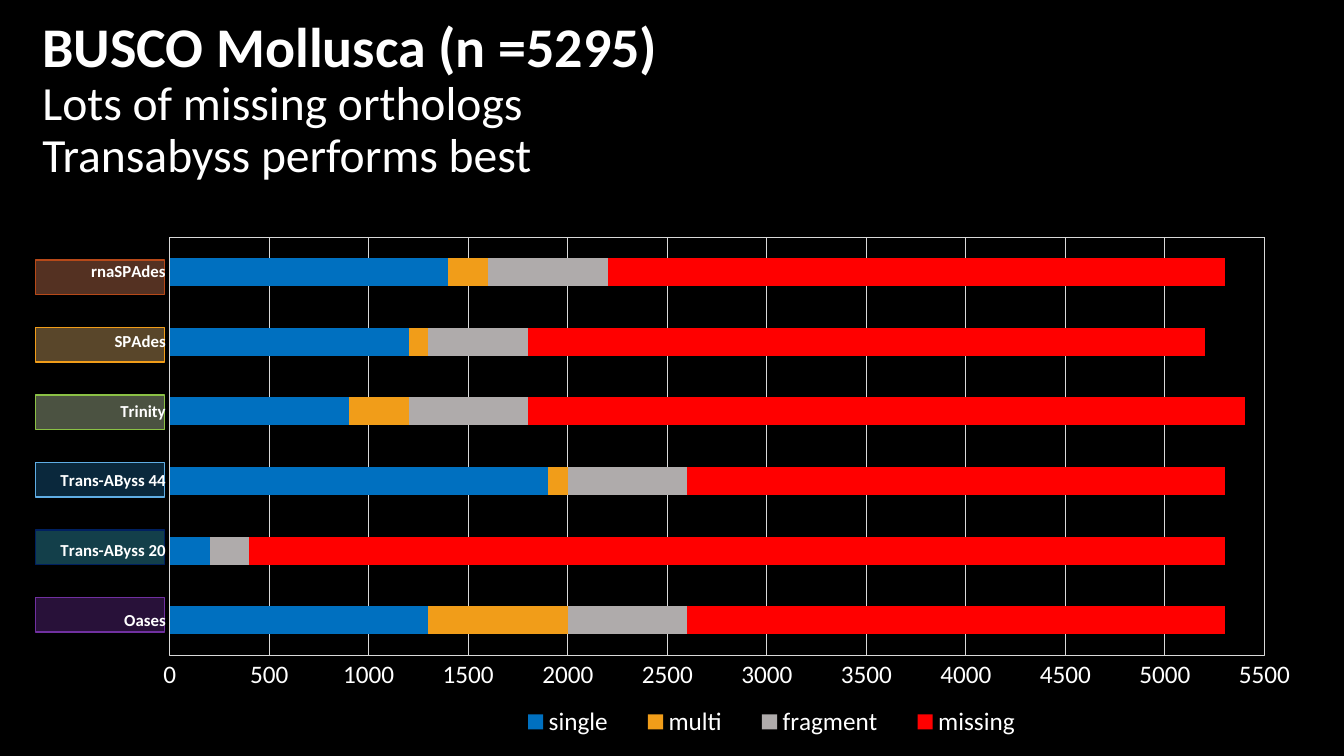
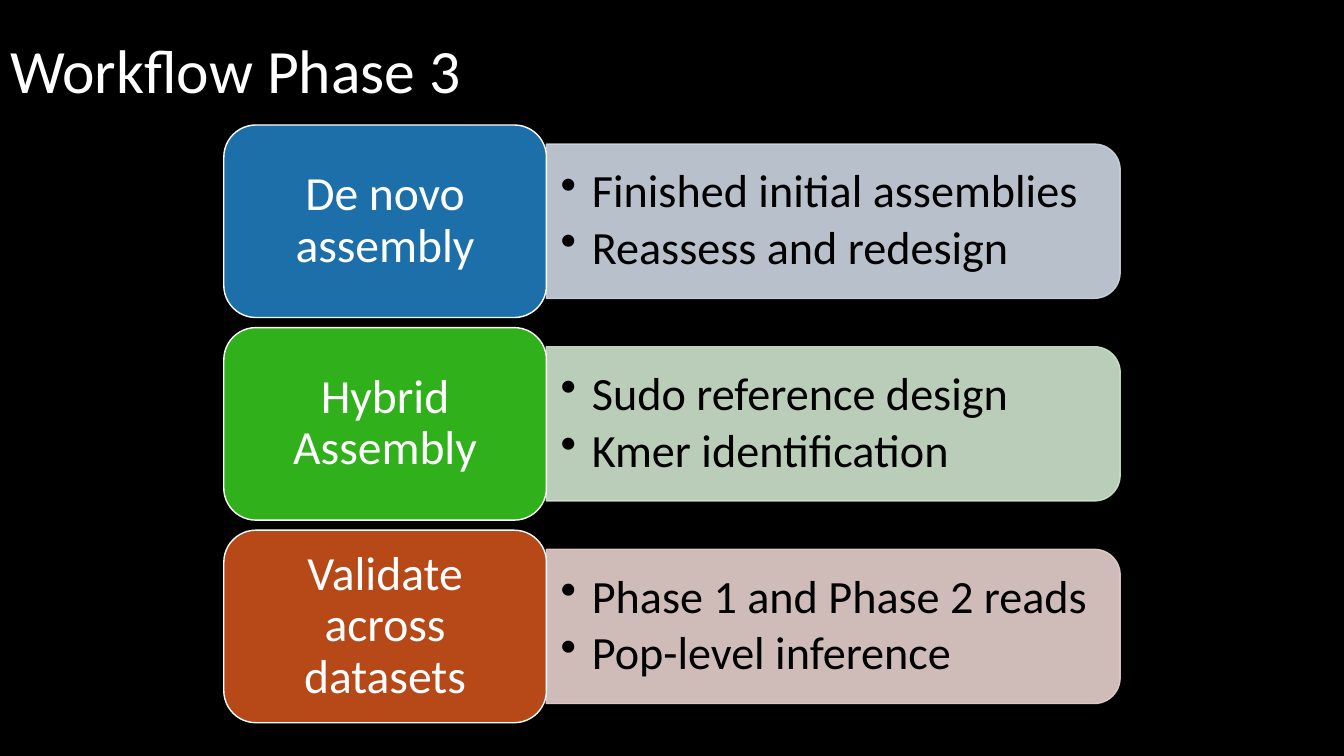
"""Build two slides: a chart of BUSCO results and a three-step workflow."""

from dataclasses import dataclass
from typing import Any

import lxml.etree
import pptx
import pptx.chart.data
import pptx.dml.color
import pptx.enum.chart
import pptx.enum.shapes
import pptx.enum.text
import pptx.oxml
import pptx.oxml.ns
import pptx.util

Inches = pptx.util.Inches
Pt = pptx.util.Pt
qn = pptx.oxml.ns.qn


@dataclass(frozen=True)
class Theme:
    font: str = "Calibri"
    background: str = "000000"
    light: str = "FFFFFF"
    dark: str = "000000"
    grid: str = "D9D9D9"
    title: int = 44
    heading: int = 40
    subtitle: int = 34
    block: int = 34
    bullet: int = 33
    axis: int = 18
    category: int = 12
    chart: int = 10


@dataclass(frozen=True)
class Assembler:
    name: str
    fill: str
    line: str
    counts: tuple[int, int, int, int]


@dataclass(frozen=True)
class Step:
    name: str
    color: str
    tint: str
    bullets: tuple[str, ...]


THEME = Theme()

ASSEMBLERS = [
    Assembler("rnaSPAdes", "E98960", "B74919", (1400, 200, 600, 3100)),
    Assembler("SPAdes", "F7C475", "F19D19", (1200, 100, 500, 3400)),
    Assembler("Trinity", "D1E6B5", "8BC145", (900, 300, 600, 3600)),
    Assembler("Trans-AByss 44", "1D6FA9", "5FADE4", (1900, 100, 600, 2700)),
    Assembler("Trans-AByss 20", "36AFCE", "002060", (200, 0, 200, 4900)),
    Assembler("Oases", "7030A0", "7030A0", (1300, 700, 600, 2700)),
]

SERIES_COLORS = {"single": "0070C0", "multi": "F19D19", "fragment": "AFABAB", "missing": "FF0000"}

STEPS = [
    Step("De novo assembly", "1D6FA9", "CDD5E2",
         ("Finished initial assemblies", "Reassess and redesign")),
    Step("Hybrid Assembly", "30B01B", "CFE4CD",
         ("Sudo reference design", "Kmer identification")),
    Step("Validate across datasets", "B74919", "E6D0CC",
         ("Phase 1 and Phase 2 reads", "Pop-level inference")),
]


def rgb(color: str) -> pptx.dml.color.RGBColor:
    return pptx.dml.color.RGBColor.from_string(color)


def apply(obj: Any, values: dict[str, Any]) -> None:
    for name, value in values.items():
        setattr(obj, name, value)


def set_font(font: Any, size: int, color: str, bold: bool = False) -> None:
    apply(font, {"name": THEME.font, "size": Pt(size), "bold": bold})
    font.color.rgb = rgb(color)


def set_line(line: Any, color: str, width: float) -> None:
    line.color.rgb = rgb(color)
    line.width = Pt(width)


def set_alpha(element: Any, percent: int) -> None:
    for color in element.iter(qn("a:srgbClr")):
        lxml.etree.SubElement(color, qn("a:alpha"), val=str(percent * 1000))


def set_frame(tf: Any, x_inset: float, y_inset: float) -> None:
    apply(tf, {
        "word_wrap": True,
        "auto_size": pptx.enum.text.MSO_AUTO_SIZE.NONE,
        "vertical_anchor": pptx.enum.text.MSO_ANCHOR.MIDDLE,
        "margin_left": Inches(x_inset),
        "margin_right": Inches(x_inset),
        "margin_top": Inches(y_inset),
        "margin_bottom": Inches(y_inset),
    })


def add_run(p: Any, text: str, size: int, color: str, bold: bool = False) -> None:
    r = p.add_run()
    r.text = text
    set_font(r.font, size, color, bold)


def add_shape(s: Any, kind: Any, box: tuple[float, float, float, float],
              fill: str, line: str) -> Any:
    sp = s.shapes.add_shape(kind, *map(Inches, box))
    sp.shadow.inherit = False
    sp.fill.solid()
    sp.fill.fore_color.rgb = rgb(fill)
    set_line(sp.line, line, 1)
    return sp


def add_titled_slide(prs: Any, lines: list[tuple[str, int, bool]],
                     width: float, height: float, inset: float) -> Any:
    s = prs.slides.add_slide(prs.slide_layouts[5])
    sp = s.shapes.title
    apply(sp, {"left": 0, "top": 0, "width": Inches(width), "height": Inches(height)})
    set_frame(sp.text_frame, inset, 0.05)
    p = sp.text_frame.paragraphs[0]
    apply(p, {"alignment": pptx.enum.text.PP_ALIGN.LEFT, "line_spacing": 0.9})
    for i, (text, size, bold) in enumerate(lines):
        if i:
            p.add_line_break()
        add_run(p, text, size, THEME.light, bold)
    return s


def set_layout(parent: Any, index: int, x: float, y: float, w: float, h: float,
               inner: bool = False) -> None:
    for old in parent.findall(qn("c:layout")):
        parent.remove(old)
    layout = lxml.etree.Element(qn("c:layout"))
    manual = lxml.etree.SubElement(layout, qn("c:manualLayout"))
    values = {"layoutTarget": "inner"} if inner else {}
    values |= {"xMode": "edge", "yMode": "edge", "x": x, "y": y, "w": w, "h": h}
    for tag, value in values.items():
        lxml.etree.SubElement(manual, qn(f"c:{tag}"), val=str(value))
    parent.insert(index, layout)


def chart_properties(fill: str) -> Any:
    namespaces = pptx.oxml.ns.nsdecls("c", "a")
    return pptx.oxml.parse_xml(f"<c:spPr {namespaces}><a:noFill/>{fill}</c:spPr>")


def add_busco_chart(s: Any) -> None:
    data = pptx.chart.data.CategoryChartData()
    rows = ASSEMBLERS[::-1]
    data.categories = [row.name for row in rows]
    for i, name in enumerate(SERIES_COLORS):
        data.add_series(name, [row.counts[i] for row in rows])
    kind = pptx.enum.chart.XL_CHART_TYPE.BAR_STACKED
    chart = s.shapes.add_chart(
        kind, Inches(0.35), Inches(2.26), Inches(12.7), Inches(5.16), data).chart
    apply(chart, {"has_title": False, "has_legend": True})
    set_font(chart.font, THEME.chart, THEME.dark)

    plot = chart.plots[0]
    apply(plot, {"gap_width": 150, "overlap": 100, "vary_by_categories": False})
    for series, color in zip(plot.series, SERIES_COLORS.values()):
        series.format.fill.solid()
        series.format.fill.fore_color.rgb = rgb(color)

    no_tick = {"major_tick_mark": pptx.enum.chart.XL_TICK_MARK.NONE,
               "minor_tick_mark": pptx.enum.chart.XL_TICK_MARK.NONE}
    categories, counts = chart.category_axis, chart.value_axis
    apply(categories, no_tick)
    set_font(categories.tick_labels.font, THEME.category, THEME.light, True)
    set_line(categories.format.line, THEME.grid, 0.75)
    apply(counts, no_tick | {"minimum_scale": 0, "maximum_scale": 5500,
                             "major_unit": 500, "has_major_gridlines": True})
    apply(counts.tick_labels, {"number_format": "General", "number_format_is_linked": False})
    set_font(counts.tick_labels.font, THEME.axis, THEME.light)
    set_line(counts.major_gridlines.format.line, THEME.grid, 0.75)
    counts.format.line.fill.background()

    apply(chart.legend, {"position": pptx.enum.chart.XL_LEGEND_POSITION.BOTTOM,
                         "include_in_layout": False})
    set_font(chart.legend.font, THEME.axis, THEME.light)

    root = chart.element.find(qn("c:chart"))
    area = root.find(qn("c:plotArea"))
    set_layout(area, 0, 0.105, 0.018, 0.855, 0.804, inner=True)
    set_layout(root.find(qn("c:legend")), 1, 0.36, 0.91, 0.43, 0.08)
    area.append(chart_properties(
        f'<a:ln w="9525"><a:solidFill><a:srgbClr val="{THEME.grid}"/></a:solidFill></a:ln>'))
    root.addnext(chart_properties("<a:ln><a:noFill/></a:ln>"))


def add_busco_slide(prs: Any) -> None:
    s = add_titled_slide(prs, [
        ("BUSCO Mollusca (n =5295)", THEME.heading, True),
        ("Lots of missing orthologs", THEME.subtitle, False),
        ("Transabyss performs best", THEME.subtitle, False),
    ], 13.33, 2, 0.42)
    for i, row in enumerate(ASSEMBLERS):
        sp = add_shape(s, pptx.enum.shapes.MSO_SHAPE.RECTANGLE,
                       (0.35, 2.58 + 0.67 * i, 1.28, 0.34), row.fill, row.line)
        set_alpha(sp.element.spPr.find(qn("a:solidFill")), 36)
    add_busco_chart(s)


def add_bullets(s: Any, box: tuple[float, float, float, float],
                bullets: tuple[str, ...]) -> None:
    tf = s.shapes.add_textbox(*map(Inches, box)).text_frame
    set_frame(tf, 0.14, 0.07)
    for i, text in enumerate(bullets):
        p = tf.add_paragraph() if i else tf.paragraphs[0]
        pPr = p._p.get_or_add_pPr()
        pPr.set("marL", str(Inches(0.31)))
        pPr.set("indent", str(Inches(-0.31)))
        lxml.etree.SubElement(pPr, qn("a:buChar"), char="•")
        apply(p, {"line_spacing": 0.9, "space_after": Pt(5)})
        add_run(p, text, THEME.bullet, THEME.dark)


def add_step(s: Any, step: Step, top: float) -> None:
    shapes = pptx.enum.shapes.MSO_SHAPE
    left, block_width, block_height = 2.22, 3.2, 1.91
    band_left, band_width, band_height = left + block_width, 5.69, 1.53
    middle = top + block_height / 2
    band = add_shape(s, shapes.ROUND_2_SAME_RECTANGLE,
                     (band_left + (band_width - band_height) / 2, middle - band_width / 2,
                      band_height, band_width), step.tint, step.tint)
    band.rotation = 90
    set_alpha(band.element.spPr, 90)
    add_bullets(s, (band_left, middle - 0.69, 5.61, 1.38), step.bullets)

    block = add_shape(s, shapes.ROUNDED_RECTANGLE,
                      (left, top, block_width, block_height), step.color, THEME.light)
    set_frame(block.text_frame, 0.14, 0.07)
    p = block.text_frame.paragraphs[0]
    apply(p, {"alignment": pptx.enum.text.PP_ALIGN.CENTER, "line_spacing": 0.9})
    add_run(p, step.name, THEME.block, THEME.light)


def add_workflow_slide(prs: Any) -> None:
    s = add_titled_slide(prs, [("Workflow Phase 3", THEME.title, False)], 11.5, 1.45, 0.1)
    for i, step in enumerate(STEPS):
        add_step(s, step, 1.24 + 2.01 * i)


def main() -> None:
    prs = pptx.Presentation()
    apply(prs, {"slide_width": Inches(13.33), "slide_height": Inches(7.5)})
    fill = prs.slide_master.background.fill
    fill.solid()
    fill.fore_color.rgb = rgb(THEME.background)
    add_busco_slide(prs)
    add_workflow_slide(prs)
    prs.save("out.pptx")


if __name__ == "__main__":
    main()
